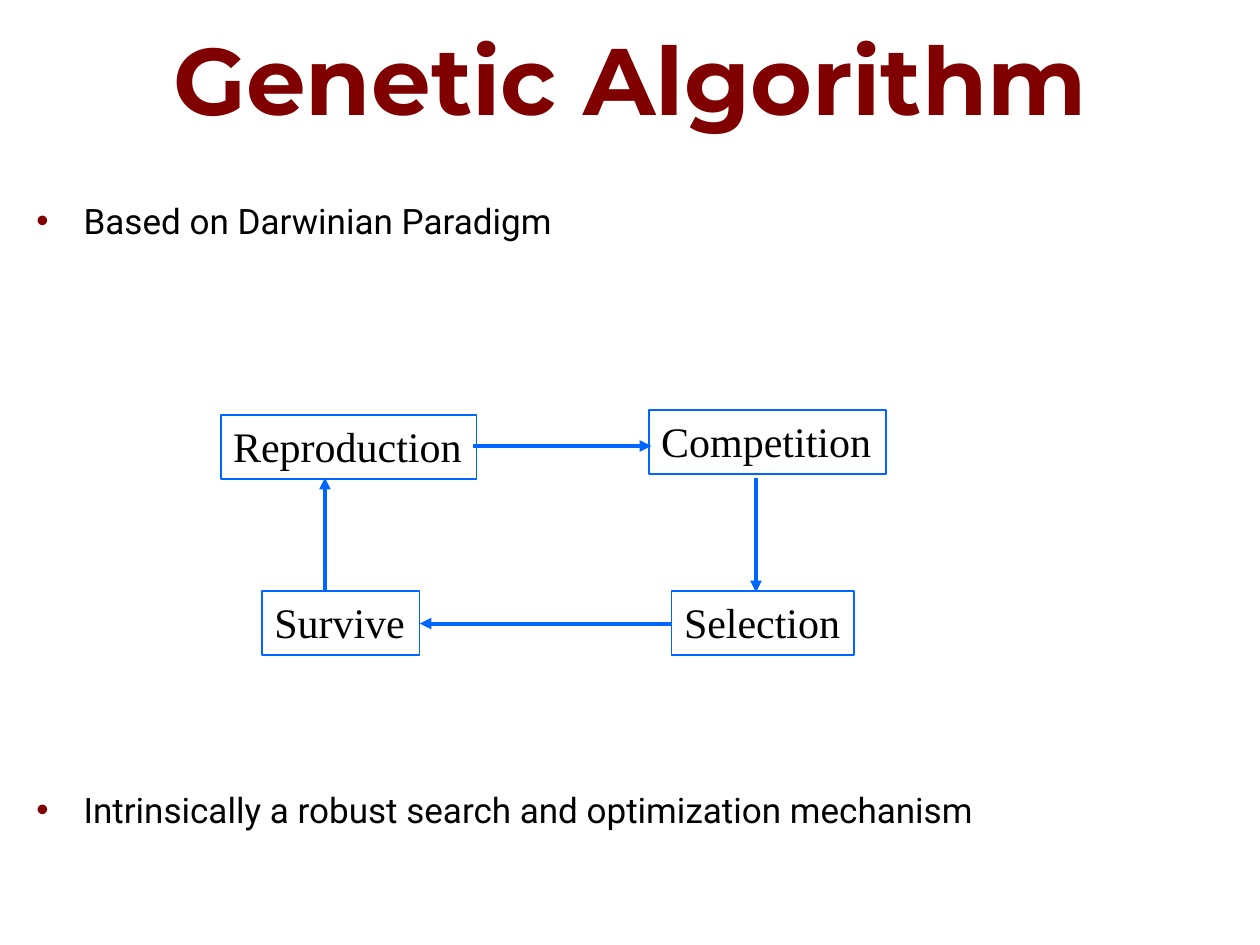
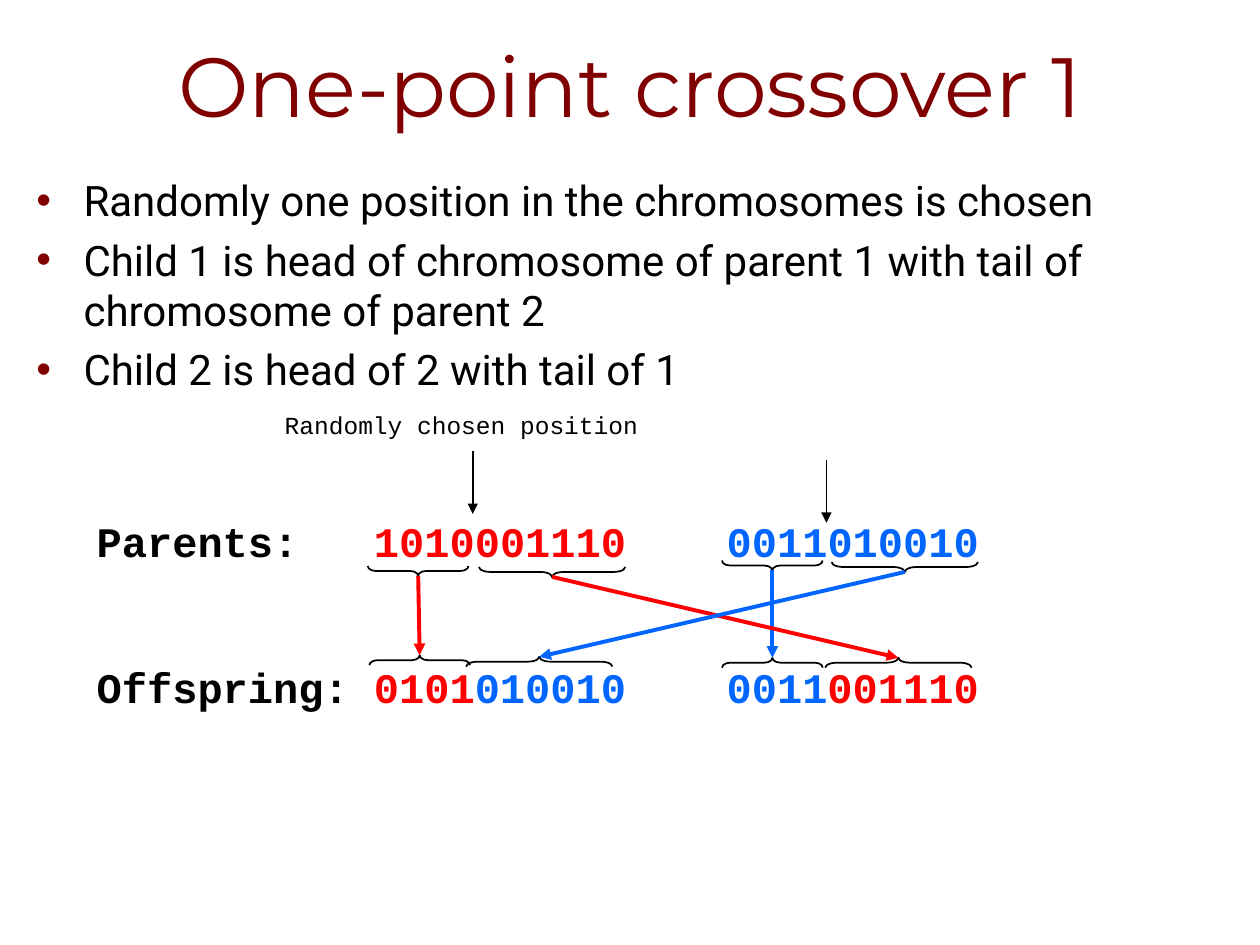
from lxml.etree import SubElement
from pptx import Presentation
from pptx.dml.color import RGBColor
from pptx.enum.shapes import MSO_CONNECTOR as Connector, MSO_SHAPE as Preset
from pptx.enum.text import MSO_ANCHOR as Anchor, MSO_AUTO_SIZE as AutoSize, PP_ALIGN as Align
from pptx.oxml.ns import qn
from pptx.util import Cm, Pt

MAROON = RGBColor(0x80, 0x00, 0x00)
BLACK = RGBColor(0x00, 0x00, 0x00)
BLUE = RGBColor(0x00, 0x66, 0xFF)
RED = RGBColor(0xFF, 0x00, 0x00)
TITLE_FONT, BODY_FONT = "Montserrat", "Roboto"
BOX_FONT, GENE_FONT = "Times New Roman", "Courier New"
BRACE_DEPTH = 0.2


class Deck:
    """Holds the shared style and the slide being filled."""

    def __init__(self):
        self.presentation = Presentation()
        self.presentation.slide_width = Cm(25.4)
        self.presentation.slide_height = Cm(19.05)
        self.slide = None

    def new_slide(self, title, size, bold=False):
        self.slide = self.presentation.slides.add_slide(self.presentation.slide_layouts[1])
        shape = self.slide.shapes.title
        self.place(shape, 0, 0, 25.4, 2.84)
        frame = shape.text_frame
        frame.auto_size = AutoSize.NONE
        frame.vertical_anchor = Anchor.BOTTOM
        paragraph = frame.paragraphs[0]
        paragraph.alignment = Align.CENTER
        self.run(paragraph, title, size, TITLE_FONT, MAROON, bold)

    def place(self, shape, left, top, width, height):
        shape.left, shape.top = Cm(left), Cm(top)
        shape.width, shape.height = Cm(width), Cm(height)

    def run(self, paragraph, text, size, font, color=BLACK, bold=False):
        run = paragraph.add_run()
        run.text = text
        run.font.size = Pt(size)
        run.font.name = font
        run.font.color.rgb = color
        run.font.bold = bold

    def paragraph(self, frame, index, space=0):
        paragraph = frame.add_paragraph() if index else frame.paragraphs[0]
        paragraph.space_before = Pt(space)
        return paragraph

    def bullets(self, top, size, items):
        body = self.slide.placeholders[1]
        self.place(body, 0.48, top, 24.26, 14.68)
        frame = body.text_frame
        frame.auto_size = AutoSize.NONE
        for index, (text, space) in enumerate(items):
            paragraph = self.paragraph(frame, index, space)
            properties = paragraph._p.get_or_add_pPr()
            properties.set("marL", str(Cm(0.95)))
            properties.set("indent", str(-Cm(0.95)))
            color = SubElement(properties, qn("a:buClr"))
            SubElement(color, qn("a:srgbClr")).set("val", str(MAROON))
            SubElement(properties, qn("a:buChar")).set("char", "•")
            self.run(paragraph, text, size, BODY_FONT)

    def text_box(self, left, top, width, height):
        shape = self.slide.shapes.add_textbox(Cm(left), Cm(top), Cm(width), Cm(height))
        shape.text_frame.word_wrap = True
        return shape.text_frame

    def label(self, text, left, top, width, height):
        frame = self.text_box(left, top, width, height)
        self.run(frame.paragraphs[0], text, 14, GENE_FONT)

    def gene_rows(self, left, top, width, height, rows, gap, tab_stops):
        frame = self.text_box(left, top, width, height)
        for index, row in enumerate(rows):
            paragraph = self.paragraph(frame, index, gap if index else 0)
            tabs = SubElement(paragraph._p.get_or_add_pPr(), qn("a:tabLst"))
            for stop in tab_stops:
                tab = SubElement(tabs, qn("a:tab"))
                tab.set("pos", str(Cm(stop)))
                tab.set("algn", "l")
            for text, color in row:
                self.run(paragraph, text, 24, GENE_FONT, color, True)

    def outline(self, preset, left, top, width, height, color):
        shape = self.slide.shapes.add_shape(preset, Cm(left), Cm(top), Cm(width), Cm(height))
        shape.shadow.inherit = False
        shape.fill.background()
        shape.line.color.rgb = color
        shape.line.width = Pt(1)
        return shape

    def box(self, text, left, top, width):
        frame = self.outline(Preset.RECTANGLE, left, top, width, 1.3, BLUE).text_frame
        frame.word_wrap = False
        frame.vertical_anchor = Anchor.TOP
        paragraph = frame.paragraphs[0]
        paragraph.alignment = Align.LEFT
        self.run(paragraph, text, 24, BOX_FONT)

    def brace(self, center, span, rotation):
        x, y = center
        shape = self.outline(Preset.LEFT_BRACE, x - BRACE_DEPTH / 2, y - span / 2,
                             BRACE_DEPTH, span, BLACK)
        shape.rotation = rotation
        shape.adjustments[0] = 0.4 * span
        shape.adjustments[1] = 0.5

    def arrow(self, start, end, color=BLUE, width=2.25):
        connector = self.slide.shapes.add_connector(
            Connector.STRAIGHT, *(Cm(value) for value in (*start, *end)))
        connector.line.color.rgb = color
        connector.line.width = Pt(width)
        properties = connector.element.spPr
        SubElement(properties.find(qn("a:ln")), qn("a:tailEnd")).set("type", "triangle")
        SubElement(properties, qn("a:effectLst"))

    def inheritance(self, parent, child, span, color):
        self.brace(parent, span, 270)
        self.brace(child, span, 90)
        tip = BRACE_DEPTH / 2
        self.arrow((parent[0], parent[1] + tip), (child[0], child[1] - tip), color)


def genetic_algorithm(deck):
    deck.new_slide("Genetic Algorithm", 54, bold=True)
    deck.bullets(3.89, 20, [
        ("Based on Darwinian Paradigm", 2),
        ("Intrinsically a robust search and optimization mechanism", 312.6),
    ])
    for stage in [("Reproduction", 4.45, 8.36, 5.16), ("Competition", 13.08, 8.26, 4.78),
                  ("Selection", 13.54, 11.91, 3.68), ("Survive", 5.28, 11.91, 3.18)]:
        deck.box(*stage)
    for start, end in [((9.53, 8.99), (13.13, 8.99)), ((15.24, 9.63), (15.24, 11.94)),
                       ((13.54, 12.57), (8.46, 12.57)), ((6.55, 11.94), (6.55, 9.63))]:
        deck.arrow(start, end)


def one_point_crossover(deck):
    deck.new_slide("One-point crossover 1", 48)
    deck.bullets(3.4, 24, [
        ("Randomly one position in the chromosomes is chosen", 2),
        ("Child 1 is head of chromosome of parent 1 with tail of chromosome of parent 2", 5),
        ("Child 2 is head of 2 with tail of 1", 5),
    ])
    deck.gene_rows(1.7, 10.27, 21.59, 4.2, [
        [("Parents:\t", BLACK), ("1010001110\t", RED), ("0011010010", BLUE)],
        [("Offspring:\t", BLACK), ("0101", RED), ("010010\t0011", BLUE), ("001110", RED)],
    ], gap=54.4, tab_stops=(5.59, 12.7))
    deck.label("Randomly chosen position", 5.49, 8.15, 8.48, 0.84)
    for x, y in [(9.53, 9.09), (16.66, 9.27)]:
        deck.arrow((x, y), (x, y + 1.27), BLACK, 1)

    head, tail = 2.03, 2.95
    deck.inheritance((8.43, 11.51), (8.46, 13.31), head, RED)
    deck.inheritance((15.57, 11.4), (15.57, 13.36), head, BLUE)
    deck.inheritance((11.13, 11.53), (18.11, 13.36), tail, RED)
    deck.inheritance((18.24, 11.43), (10.87, 13.34), tail, BLUE)


def main():
    deck = Deck()
    genetic_algorithm(deck)
    one_point_crossover(deck)
    deck.presentation.save("out.pptx")


if __name__ == "__main__":
    main()
